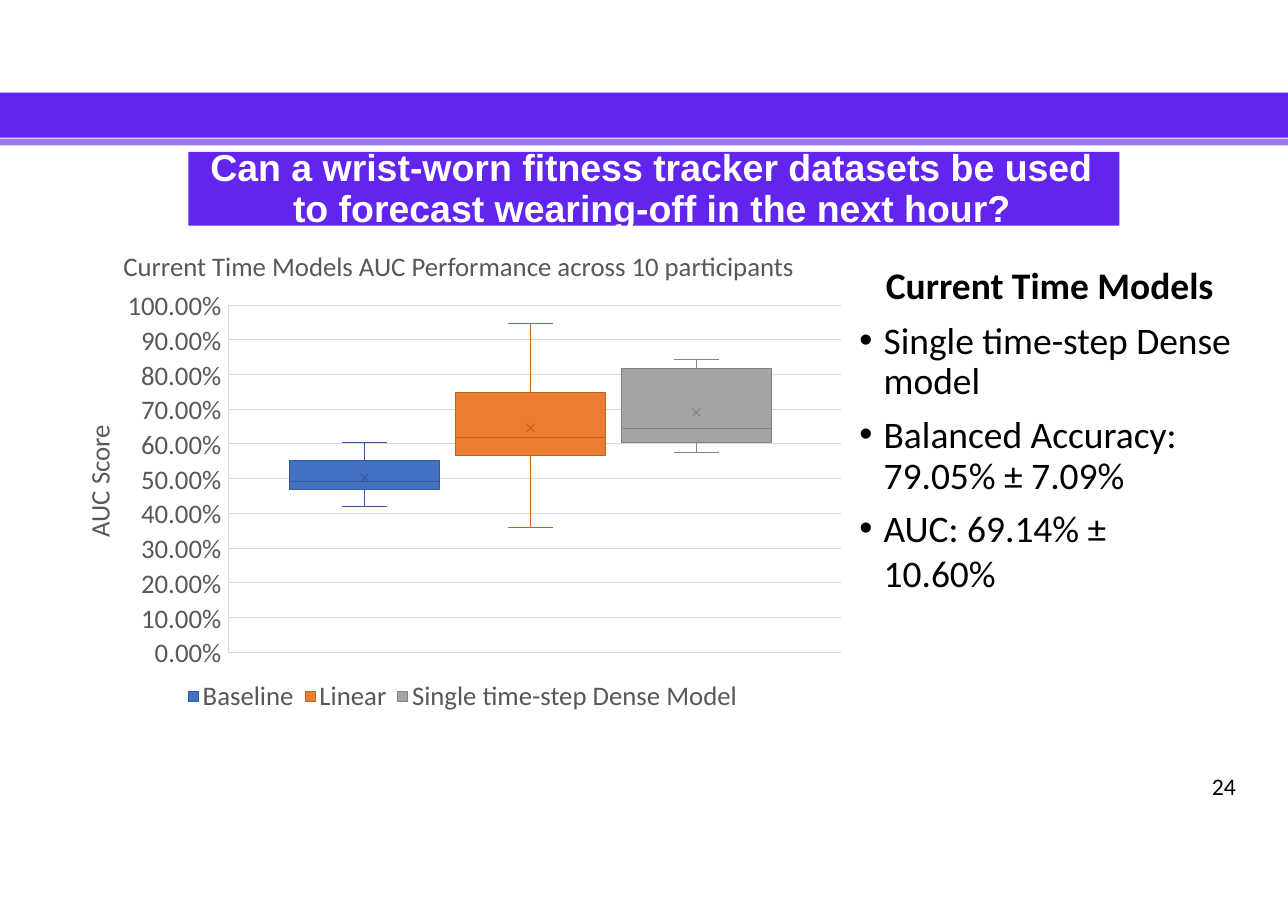
from lxml import etree
from pptx import Presentation
from pptx.dml.color import RGBColor
from pptx.enum import shapes, text
from pptx.oxml import ns
from pptx.util import Inches, Pt

COLORS = {
    "violet": "6125ED", "lilac": "9D77F3", "white": "FFFFFF", "black": "000000",
    "label": "585858", "grid": "D8D8D8",
    "blue": "4371C3", "blue_edge": "355A9C",
    "orange": "EC7C30", "orange_edge": "BD6326",
    "gray": "A4A4A4", "gray_edge": "838383",
}
AXIS_LEFT, AXIS_RIGHT, AXIS_TOP, AXIS_BOTTOM = 2.07, 7.63, 2.77, 5.92
BOX_WIDTH, CAP_WIDTH, MARK = 1.36, 0.41, 0.07
FIRST_BOX, BOX_STEP = 3.31, 1.505
LINE_WIDTH = 0.66

SERIES = [
    ("Baseline", "blue", (41.9, 46.7, 49.2, 55.2, 60.3), 50.2, 1.71, 0.85),
    ("Linear", "orange", (35.9, 56.5, 61.9, 74.9, 94.6), 64.6, 2.77, 0.64),
    ("Single time-step Dense Model", "gray", (57.5, 60.5, 64.4, 81.6, 84.4), 69.1, 3.61, 3),
]
FINDINGS = [
    ("Single time-step Dense model", 9.2, 26.5),
    ("Balanced Accuracy: 79.05% ± 7.09%", 8.8, 26.5),
    ("AUC: 69.14% ± \v10.60%", 5.5, None),
]


def value_y(value):
    return AXIS_BOTTOM - (AXIS_BOTTOM - AXIS_TOP) * value / 100


class SlideBuilder:
    def __init__(self, slide):
        self.slide = slide

    def color(self, name):
        return RGBColor.from_string(COLORS[name])

    def rect(self, x, y, w, h, fill, edge=None):
        sp = self.slide.shapes.add_shape(
            shapes.MSO_SHAPE.RECTANGLE, Inches(x), Inches(y), Inches(w), Inches(h))
        sp.shadow.inherit = False
        sp.fill.solid()
        sp.fill.fore_color.rgb = self.color(fill)
        if edge:
            sp.line.color.rgb = self.color(edge)
            sp.line.width = Pt(LINE_WIDTH)
        else:
            sp.line.fill.background()

    def line(self, x1, y1, x2, y2, color):
        cx = self.slide.shapes.add_connector(
            shapes.MSO_CONNECTOR.STRAIGHT, Inches(x1), Inches(y1), Inches(x2), Inches(y2))
        cx.line.color.rgb = self.color(color)
        cx.line.width = Pt(LINE_WIDTH)
        etree.SubElement(cx.element.spPr, ns.qn("a:effectLst"))

    def frame(self, sp, top=0):
        tf = sp.text_frame
        tf.word_wrap = True
        tf.auto_size = text.MSO_AUTO_SIZE.NONE
        tf.vertical_anchor = text.MSO_ANCHOR.TOP
        tf.margin_left = tf.margin_right = tf.margin_bottom = 0
        tf.margin_top = Inches(top)
        return tf

    def paragraph(self, p, content, size, color, font="Calibri", bold=False,
                  align=text.PP_ALIGN.LEFT, spacing=None, before=0):
        p.text = content
        p.alignment = align
        p.space_before = Pt(before)
        p.line_spacing = Pt(spacing) if spacing else 1.0
        for r in p.runs:
            r.font.name = font
            r.font.size = Pt(size)
            r.font.bold = bold
            r.font.color.rgb = self.color(color)

    def indent(self, p, left, first, bullet=None):
        pPr = p._p.get_or_add_pPr()
        pPr.set("marL", str(Inches(left)))
        pPr.set("indent", str(Inches(first)))
        if bullet:
            etree.SubElement(pPr, ns.qn("a:buChar")).set("char", bullet)
        else:
            etree.SubElement(pPr, ns.qn("a:buNone"))

    def label(self, x, y, w, h, lines, size=17.5, color="label", top=0.01,
              vert=None, **style):
        sp = self.slide.shapes.add_textbox(Inches(x), Inches(y), Inches(w), Inches(h))
        tf = self.frame(sp, top)
        if vert:
            tf._txBody.bodyPr.set("vert", vert)
        for i, content in enumerate(lines):
            p = tf.add_paragraph() if i else tf.paragraphs[0]
            self.paragraph(p, content, size, color, **style)

    def placeholder(self, sp, x, y, w, h, top):
        sp.left, sp.top, sp.width, sp.height = (Inches(v) for v in (x, y, w, h))
        sp.element.getparent().append(sp.element)
        return self.frame(sp, top)

    def title(self, content):
        tf = self.placeholder(self.slide.shapes.title, 1.9, 1.29, 8.07, 0.81, 0.06)
        p = tf.paragraphs[0]
        self.paragraph(p, content, 24.5, "white", font="Arial", bold=True, spacing=26.5)
        self.indent(p, 0.76, -0.75)

    def findings(self, heading, items):
        tf = self.placeholder(self.slide.placeholders[1], 7.79, 2.28, 3.41, 2.72, 0.1)
        p = tf.paragraphs[0]
        self.paragraph(p, heading, 24.5, "black", bold=True, before=6.8)
        self.indent(p, 0.25, 0)
        for content, before, spacing in items:
            p = tf.add_paragraph()
            self.paragraph(p, content, 24.5, "black", before=before, spacing=spacing)
            self.indent(p, 0.23, -0.22, "•")

    def box_plot(self, center, fill, quartiles, mean):
        edge = fill + "_edge"
        low, q1, median, q3, high = map(value_y, quartiles)
        left, right = center - BOX_WIDTH / 2, center + BOX_WIDTH / 2
        for cap, end in ((low, q1), (high, q3)):
            self.line(center - CAP_WIDTH / 2, cap, center + CAP_WIDTH / 2, cap, edge)
            self.line(center, cap, center, end, edge)
        self.rect(left, q3, BOX_WIDTH, q1 - q3, fill, edge)
        self.line(left, median, right, median, edge)
        y, half = value_y(mean), MARK / 2
        for rise in (half, -half):
            self.line(center - half, y + rise, center + half, y - rise, edge)


def main():
    prs = Presentation()
    prs.slide_width, prs.slide_height = Inches(11.69), Inches(8.27)
    s = SlideBuilder(prs.slides.add_slide(prs.slide_layouts[1]))

    s.rect(0, 0.84, 11.69, 0.41, "violet")
    s.rect(0, 1.26, 11.69, 0.06, "lilac")
    s.rect(1.71, 1.38, 8.45, 0.67, "violet")
    s.title("Can a wrist-worn fitness tracker datasets be used "
            "to forecast wearing-off in the next hour?")

    ticks = range(100, -1, -10)
    for tick in ticks:
        s.line(AXIS_LEFT, value_y(tick), AXIS_RIGHT, value_y(tick), "grid")
    s.line(AXIS_LEFT, AXIS_TOP, AXIS_LEFT, AXIS_BOTTOM, "grid")
    for i, (name, fill, quartiles, mean, key_x, name_width) in enumerate(SERIES):
        s.box_plot(FIRST_BOX + i * BOX_STEP, fill, quartiles, mean)
        s.rect(key_x, 6.28, 0.09, 0.09, fill, fill + "_edge")
        s.label(key_x + 0.13, 6.15, name_width, 0.32, [name])

    s.label(0.8, 3.82, 0.27, 1.06, ["AUC Score"], top=0, vert="vert270", spacing=17.6)
    s.label(1.13, 2.57, 0.88, 3.49, [f"{tick:.2f}%" for tick in ticks], top=0.03,
            align=text.PP_ALIGN.RIGHT, spacing=22.68)
    s.label(1.12, 2.26, 6.16, 0.32,
            ["Current Time Models AUC Performance across 10 participants"])
    s.findings("Current Time Models", FINDINGS)
    s.label(11, 7.04, 0.27, 0.25, ["24"], size=15.5, color="black", top=0, spacing=16)

    prs.save("out.pptx")


if __name__ == "__main__":
    main()
